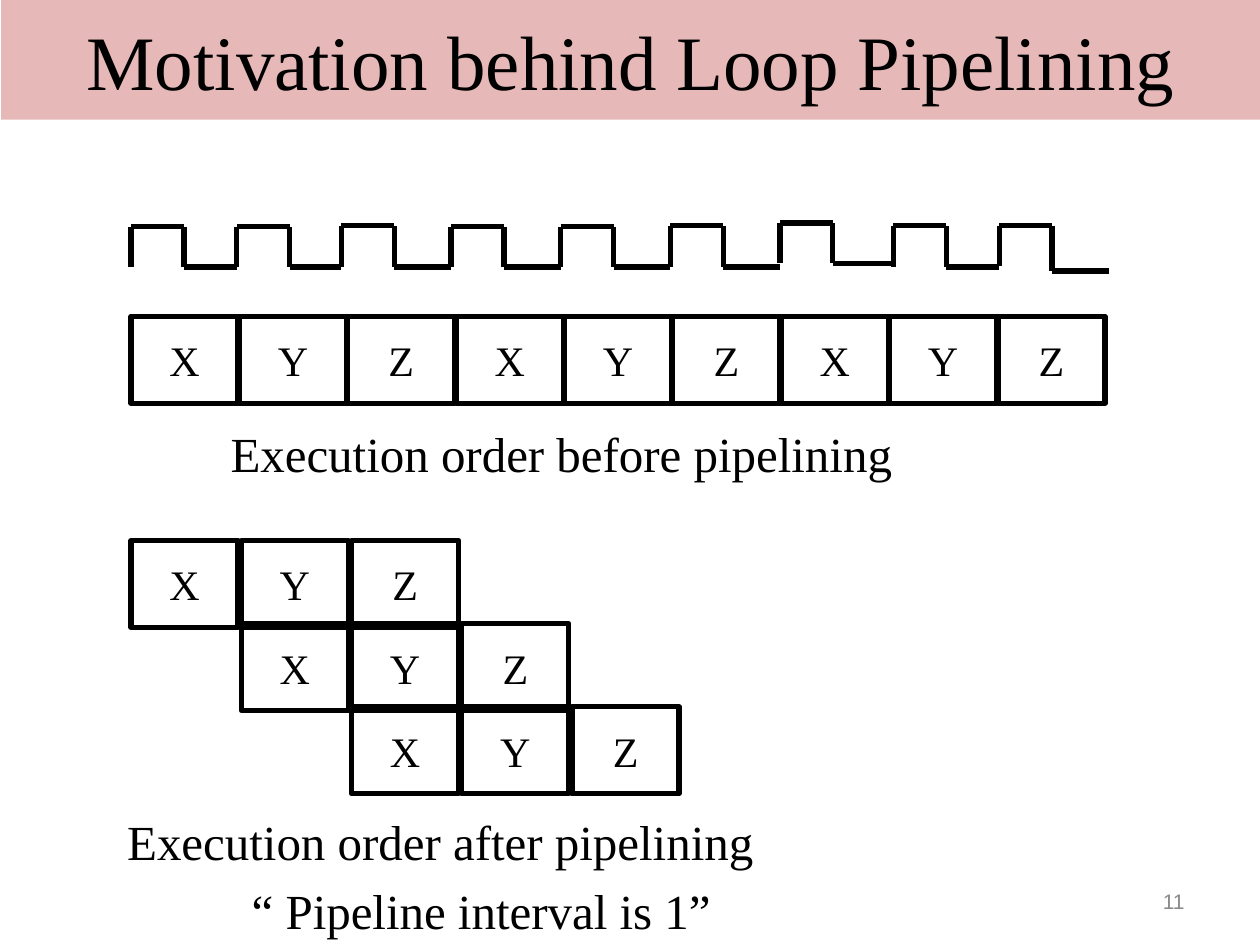
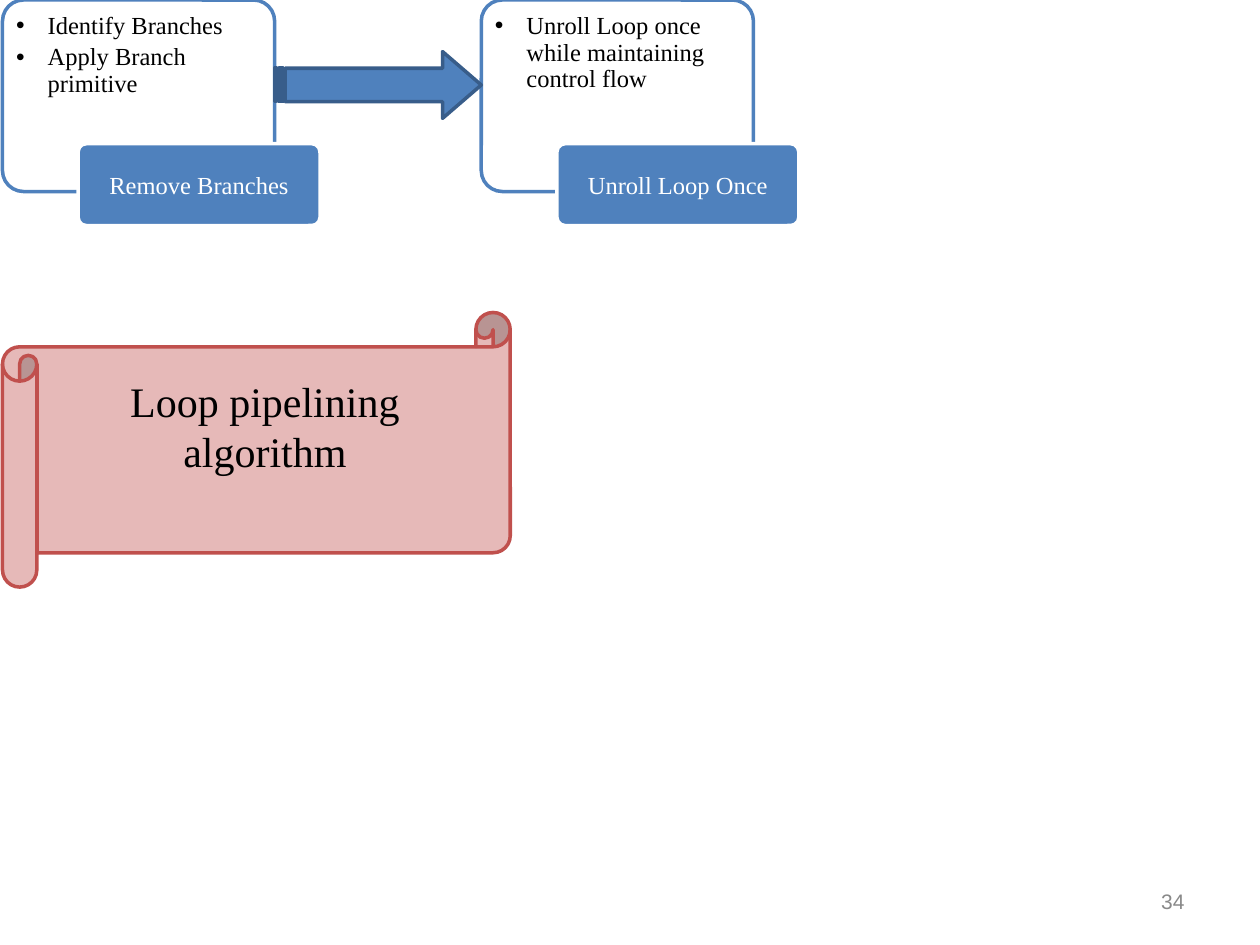
from lxml import etree
from pptx import Presentation
from pptx.dml.color import RGBColor
from pptx.enum import shapes as kinds, text as txt
from pptx.oxml.ns import qn
from pptx.util import Inches, Pt

BLACK = RGBColor(0x00, 0x00, 0x00)
WHITE = RGBColor(0xFF, 0xFF, 0xFF)
GREY = RGBColor(0x89, 0x89, 0x89)
PINK = RGBColor(0xE6, 0xB9, 0xB8)
RED = RGBColor(0xC0, 0x50, 0x4D)
BLUE = RGBColor(0x4F, 0x81, 0xBD)
DARK_BLUE = RGBColor(0x38, 0x5D, 0x8A)
SERIF, SANS = "Times New Roman", "Arial"
LEFT, CENTER, RIGHT = txt.PP_ALIGN.LEFT, txt.PP_ALIGN.CENTER, txt.PP_ALIGN.RIGHT
TOP, MIDDLE = txt.MSO_ANCHOR.TOP, txt.MSO_ANCHOR.MIDDLE
WIDE_INSETS = (0.1, 0.05, 0.1, 0.05)
TIGHT_INSETS = (0.05, 0.03, 0.05, 0.03)

# Motivation slide
TITLE = "Motivation behind Loop Pipelining"
STAGES = "XYZ"
ITERATIONS = 3
STAGE_SIZE = (0.85, 0.69)
FIRST_LEFT = 1.04
SEQUENTIAL_TOP, SEQUENTIAL_PITCH = 2.51, 0.86
PIPELINED_TOP, PIPELINED_PITCH, ROW_PITCH = 4.29, 0.875, 0.66
# Clock pulses: start, high level, low level
PULSES = [(1.04, 1.8, 2.12), (1.88, 1.8, 2.12), (2.71, 1.79, 2.12),
          (3.58, 1.8, 2.12), (4.45, 1.8, 2.12), (5.32, 1.79, 2.12),
          (6.19, 1.77, 2.09), (7.09, 1.79, 2.12), (7.93, 1.79, 2.15)]
CLOCK_END, PULSE_WIDTH = 8.8, 0.42
CAPTIONS = [
    ("Execution order before pipelining", (1.78, 3.33, 6.26, 0.52), LEFT, TIGHT_INSETS),
    ("Execution order after pipelining", (0.96, 6.41, 7.43, 0.52), LEFT, TIGHT_INSETS),
    ("“ Pipeline interval is 1”", (1.32, 6.94, 5, 0.57), CENTER, WIDE_INSETS),
]

# Algorithm slide
STEPS = [("Remove Branches", ["Identify Branches", "Apply Branch primitive"]),
         ("Unroll Loop Once", ["Unroll Loop once while maintaining control flow"])]
STEP_LEFT, STEP_PITCH = 0.02, 3.8
CARD_SIZE = (2.16, 1.52)
ALGORITHM = "Loop pipelining algorithm"


def write(shape, lines, size, color=BLACK, font=SERIF, align=CENTER,
          anchor=MIDDLE, insets=WIDE_INSETS, bullets=False):
    frame = shape.text_frame
    frame.word_wrap = True
    frame.auto_size = txt.MSO_AUTO_SIZE.NONE
    frame.vertical_anchor = anchor
    (frame.margin_left, frame.margin_top,
     frame.margin_right, frame.margin_bottom) = map(Inches, insets)
    for number, line in enumerate(lines):
        paragraph = frame.paragraphs[0] if number == 0 else frame.add_paragraph()
        paragraph.alignment = align
        if bullets:
            add_bullet(paragraph)
        run = paragraph.add_run()
        run.text = line
        run.font.size, run.font.name = Pt(size), font
        run.font.color.rgb = color


def add_bullet(paragraph):
    properties = paragraph._p.get_or_add_pPr()
    properties.set("marL", str(Inches(0.25)))
    properties.set("indent", str(-Inches(0.25)))
    etree.SubElement(properties, qn("a:buFont"), typeface=SANS)
    etree.SubElement(properties, qn("a:buChar"), char="•")
    paragraph.line_spacing = 0.9
    paragraph.space_after = Pt(2.6)


def add_block(slide, kind, at, fill, line, width=2, adjustments=()):
    shape = slide.shapes.add_shape(kind, *map(Inches, at))
    shape.shadow.inherit = False
    if fill is None:
        shape.fill.background()
    else:
        shape.fill.solid()
        shape.fill.fore_color.rgb = fill
    shape.line.color.rgb, shape.line.width = line, Pt(width)
    for index, value in enumerate(adjustments):
        shape.adjustments[index] = value
    return shape


def add_label(slide, label, at, size, **style):
    write(slide.shapes.add_textbox(*map(Inches, at)), [label], size, **style)


def add_slide_number(slide, number):
    add_label(slide, str(number), (7.17, 6.95, 2.33, 0.4), 12,
              color=GREY, font=SANS, align=RIGHT)


def add_stage(slide, stage, left, top):
    box = add_block(slide, kinds.MSO_SHAPE.RECTANGLE, (left, top, *STAGE_SIZE),
                    None, BLACK, 3)
    write(box, [stage], 24, insets=TIGHT_INSETS)


def add_clock(slide):
    ends = [start for start, _, _ in PULSES[1:]] + [CLOCK_END]
    for (start, high, low), end in zip(PULSES, ends):
        fall = start + PULSE_WIDTH
        corners = [(start, low if end != CLOCK_END else 2.11), (start, high),
                   (fall, high), (fall, low), (end, low)]
        for begin, finish in zip(corners, corners[1:]):
            edge = slide.shapes.add_connector(kinds.MSO_CONNECTOR.STRAIGHT,
                                              *map(Inches, begin + finish))
            edge.line.color.rgb, edge.line.width = BLACK, Pt(3)
            etree.SubElement(edge._element.spPr, qn("a:effectLst"))


def build_motivation(deck):
    slide = deck.slides.add_slide(deck.slide_layouts[5])
    title = slide.shapes.title
    title.left, title.top, title.width, title.height = map(
        Inches, (0.01, -0.01, 10, 0.96))
    title.fill.solid()
    title.fill.fore_color.rgb = PINK
    write(title, [TITLE], 44)

    add_clock(slide)
    for slot, stage in enumerate(STAGES * ITERATIONS):
        add_stage(slide, stage, FIRST_LEFT + slot * SEQUENTIAL_PITCH, SEQUENTIAL_TOP)
    for iteration in range(ITERATIONS):
        for slot, stage in enumerate(STAGES, iteration):
            add_stage(slide, stage, FIRST_LEFT + slot * PIPELINED_PITCH,
                      PIPELINED_TOP + iteration * ROW_PITCH)
    for caption, at, align, insets in CAPTIONS:
        add_label(slide, caption, at, 28, align=align, anchor=TOP, insets=insets)
    add_slide_number(slide, 11)


def build_algorithm(deck):
    slide = deck.slides.add_slide(deck.slide_layouts[6])
    add_slide_number(slide, 34)
    rounded = kinds.MSO_SHAPE.ROUNDED_RECTANGLE
    for index, (step, actions) in enumerate(STEPS):
        left = STEP_LEFT + index * STEP_PITCH
        card = add_block(slide, rounded, (left, 0, *CARD_SIZE), WHITE, BLUE,
                         adjustments=[0.11])
        write(card, actions, 14, align=LEFT, anchor=TOP,
              insets=(0.06, 0.06, 0.06, 0.62), bullets=True)
        name = add_block(slide, rounded, (left + 0.6, 1.14, 1.92, 0.65), BLUE, WHITE,
                         adjustments=[0.1])
        write(name, [step], 14, color=WHITE)

    card_right = STEP_LEFT + CARD_SIZE[0]
    add_block(slide, kinds.MSO_SHAPE.STRIPED_RIGHT_ARROW,
              (card_right, 0.41, STEP_PITCH - CARD_SIZE[0], 0.53),
              BLUE, DARK_BLUE, adjustments=[0.5, 0.58])
    scroll = add_block(slide, kinds.MSO_SHAPE.HORIZONTAL_SCROLL,
                       (0.02, 2.48, 4.03, 2.18), PINK, RED, adjustments=[0.125])
    write(scroll, [ALGORITHM], 24, insets=(0.1, 0.05, 0.1, 0.43))


def main():
    deck = Presentation()
    deck.slide_width, deck.slide_height = Inches(10), Inches(7.5)
    build_motivation(deck)
    build_algorithm(deck)
    deck.save("out.pptx")


if __name__ == "__main__":
    main()
